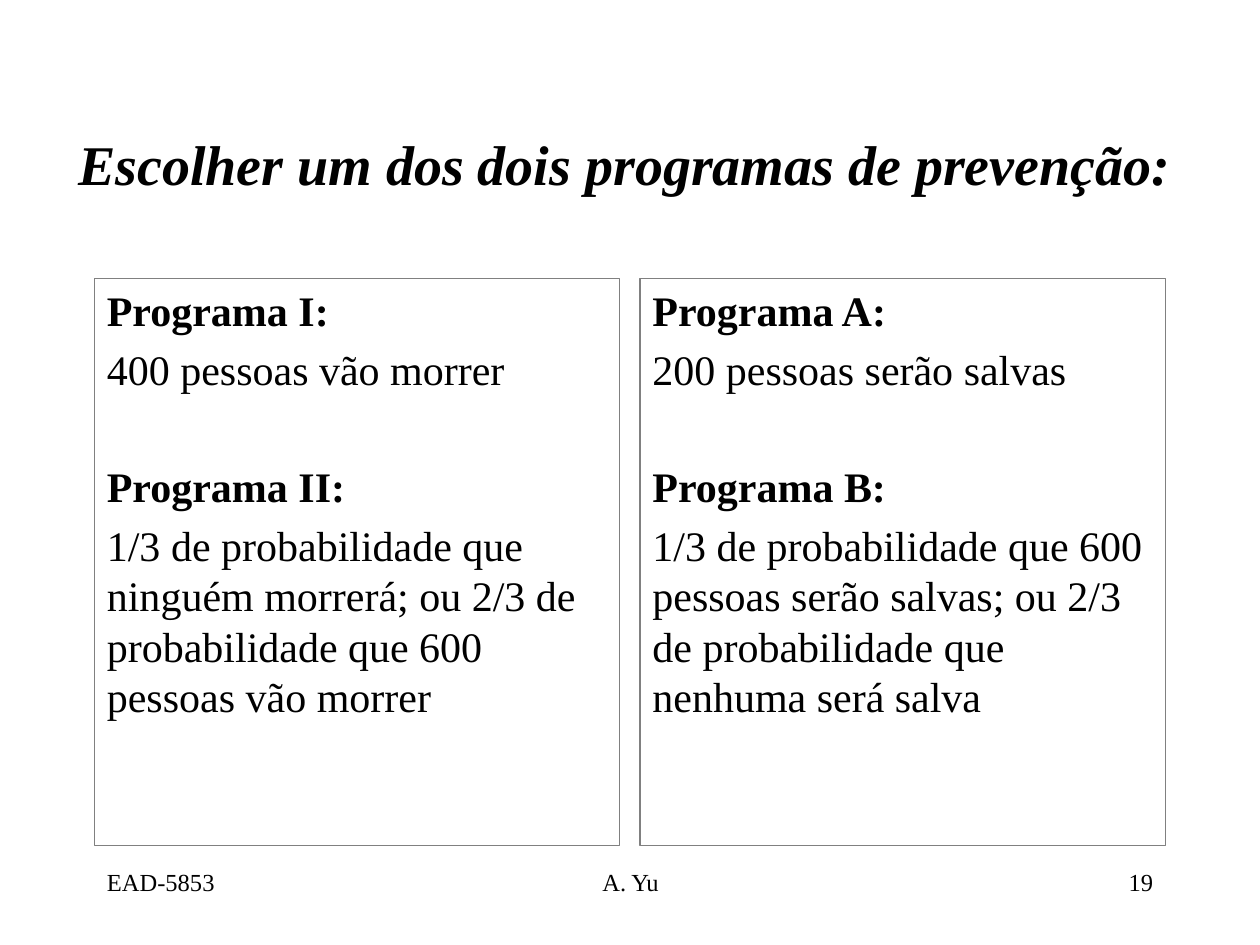
from dataclasses import dataclass

from pptx import Presentation
from pptx.dml.color import RGBColor
from pptx.enum import shapes, text
from pptx.util import Inches, Pt


@dataclass(frozen=True)
class Theme:
    font: str = "Times New Roman"
    ink: RGBColor = RGBColor(0, 0, 0)
    border: RGBColor = RGBColor(0x80, 0x80, 0x80)
    title: int = 32
    body: int = 24
    footer: int = 14


THEME = Theme()
LEFT, CENTER, RIGHT = text.PP_ALIGN.LEFT, text.PP_ALIGN.CENTER, text.PP_ALIGN.RIGHT
PARAGRAPH_GAP = 4.8
PROGRAM_GAP = 38.3


def write(p, content, size, bold=False, italic=False, align=LEFT, before=0):
    p.alignment = align
    p.space_before = Pt(before)
    r = p.add_run()
    r.text = content
    r.font.name = THEME.font
    r.font.size = Pt(size)
    r.font.bold = bold
    r.font.italic = italic
    r.font.color.rgb = THEME.ink


def add_title(s, content):
    sp = s.shapes.title
    sp.left, sp.top = Inches(0.51), Inches(0.67)
    sp.width, sp.height = Inches(8.9), Inches(1.25)
    tf = sp.text_frame
    tf.word_wrap = True
    tf.vertical_anchor = text.MSO_ANCHOR.MIDDLE
    write(tf.paragraphs[0], content, THEME.title, bold=True, italic=True, align=CENTER)


def add_panel(s, left, programs):
    sp = s.shapes.add_shape(shapes.MSO_SHAPE.RECTANGLE, Inches(left), Inches(2.21),
                            Inches(4.17), Inches(4.5))
    sp.shadow.inherit = False
    sp.fill.background()
    sp.line.color.rgb = THEME.border
    sp.line.width = Pt(0.75)
    tf = sp.text_frame
    tf.word_wrap = True
    tf.vertical_anchor = text.MSO_ANCHOR.TOP
    for i, (name, outcome) in enumerate(programs):
        p = tf.add_paragraph() if i else tf.paragraphs[0]
        write(p, name, THEME.body, bold=True, before=PROGRAM_GAP if i else 0)
        write(tf.add_paragraph(), outcome, THEME.body, before=PARAGRAPH_GAP)


def add_footer(s, left, width, content, align):
    sp = s.shapes.add_textbox(Inches(left), Inches(6.83), Inches(width), Inches(0.5))
    tf = sp.text_frame
    tf.word_wrap = True
    write(tf.paragraphs[0], content, THEME.footer, align=align)


def main():
    prs = Presentation()
    prs.slide_width, prs.slide_height = Inches(10), Inches(7.5)
    s = prs.slides.add_slide(prs.slide_layouts[5])
    add_title(s, "Escolher um dos dois programas de prevenção:")
    add_panel(s, 0.75, [
        ("Programa I:", "400 pessoas vão morrer"),
        ("Programa II:", "1/3 de probabilidade que ninguém morrerá; ou 2/3 de "
                         "probabilidade que 600 pessoas vão morrer"),
    ])
    add_panel(s, 5.08, [
        ("Programa A:", "200 pessoas serão salvas"),
        ("Programa B:", "1/3 de probabilidade que 600 pessoas serão salvas; ou 2/3 "
                        "de probabilidade que nenhuma será salva"),
    ])
    add_footer(s, 0.75, 2.08, "EAD-5853", LEFT)
    add_footer(s, 3.42, 3.17, "A. Yu", CENTER)
    add_footer(s, 7.17, 2.08, "19", RIGHT)
    prs.save("out.pptx")


if __name__ == "__main__":
    main()
